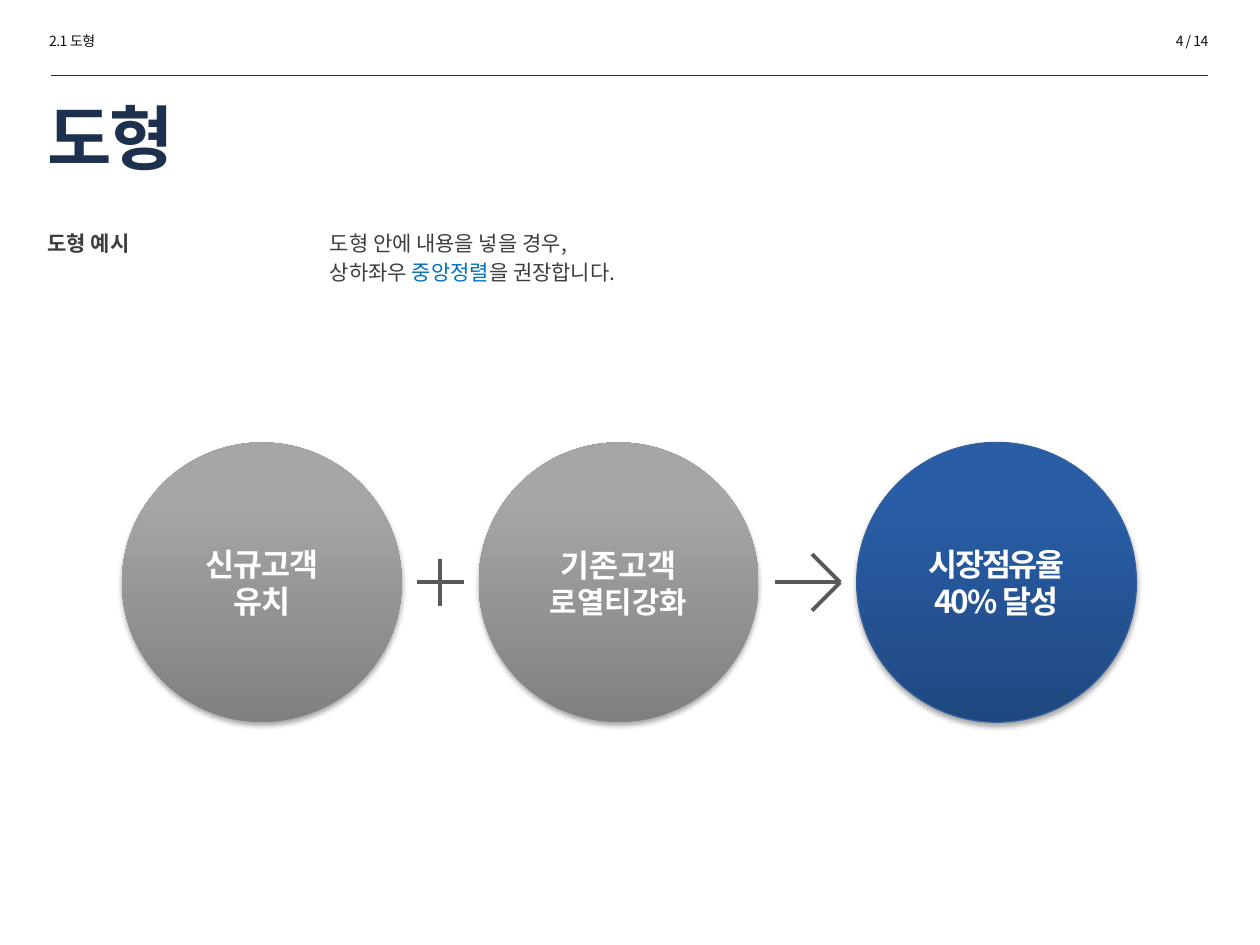
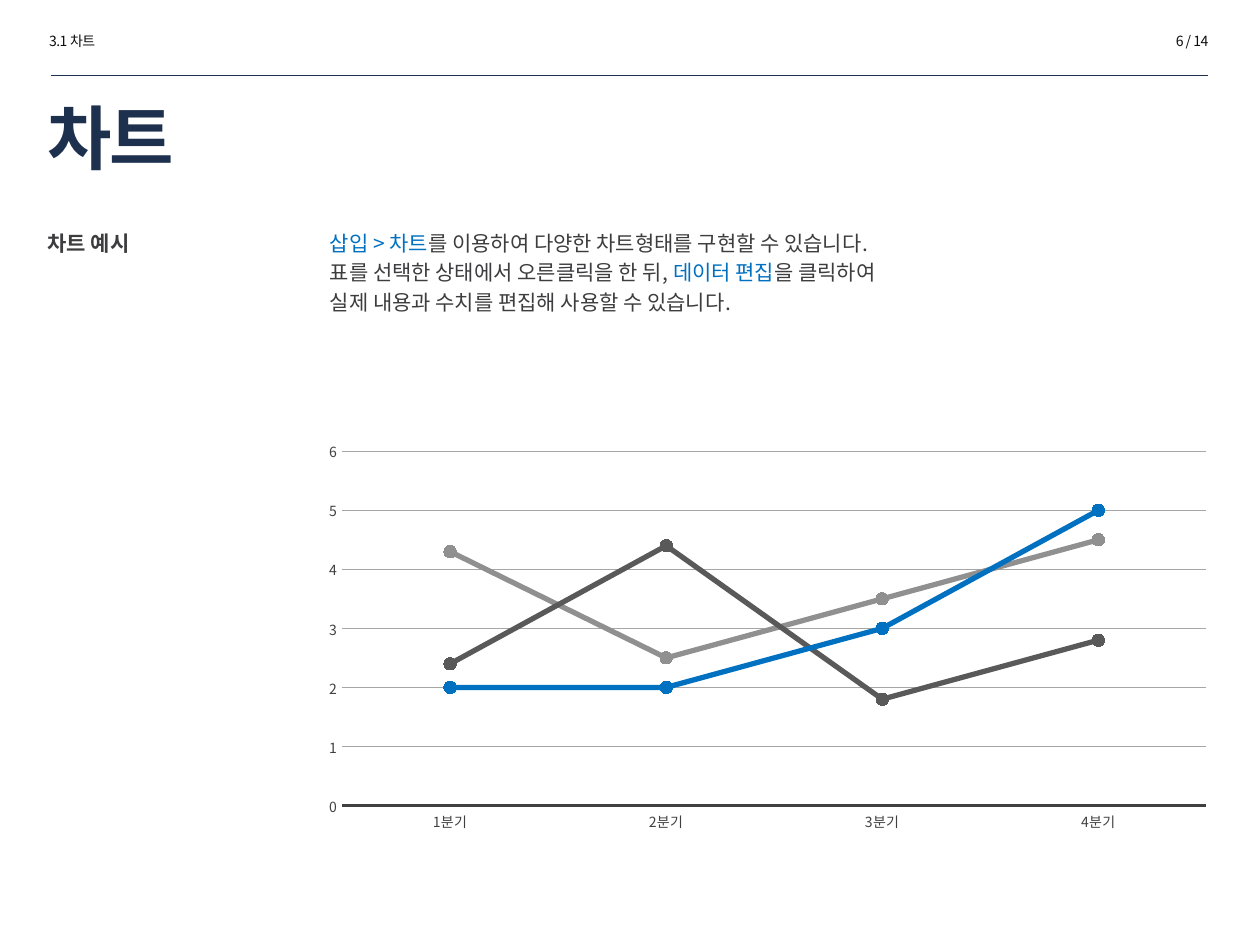
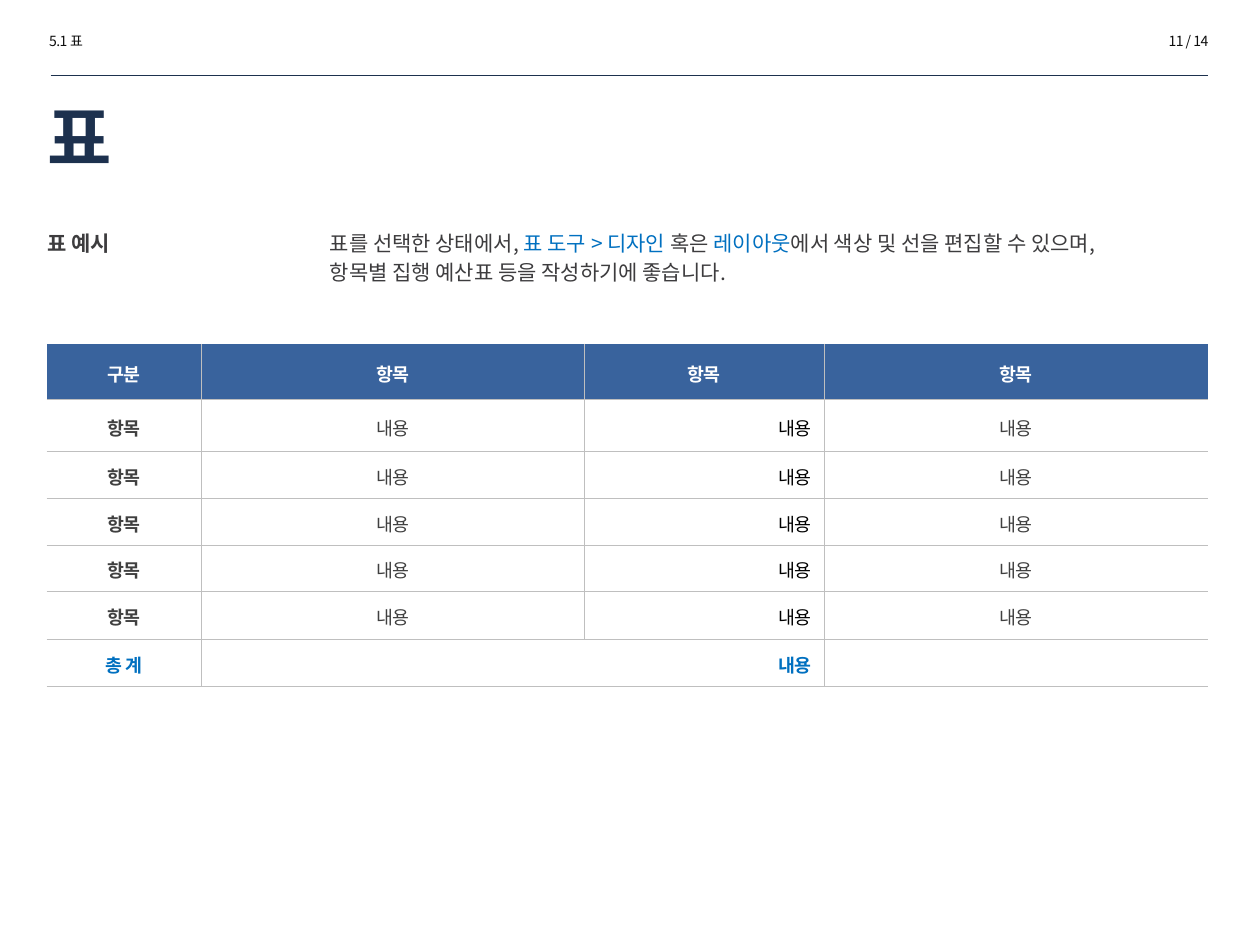
from dataclasses import dataclass
from itertools import accumulate

from lxml.etree import SubElement
from pptx import Presentation
from pptx.chart.data import CategoryChartData
from pptx.dml.color import RGBColor
from pptx.enum.chart import XL_CHART_TYPE as ChartType, XL_MARKER_STYLE as Marker, XL_TICK_MARK as Tick
from pptx.enum.shapes import MSO_CONNECTOR as Connector, MSO_SHAPE as Shape
from pptx.enum.text import MSO_ANCHOR as Anchor, PP_ALIGN as Align
from pptx.oxml import parse_xml
from pptx.oxml.ns import nsdecls, qn
from pptx.util import Cm, Pt


@dataclass(frozen=True)
class Theme:
    font: str = "Noto Sans CJK KR"
    navy: str = "1D314E"
    ink: str = "0D0D0D"
    body: str = "3D3C3E"
    accent: str = "0070C0"
    white: str = "FFFFFF"
    black: str = "000000"
    dark: str = "404040"
    symbol: str = "595959"
    series_grey: str = "909090"
    grid: str = "A6A6A6"
    border: str = "BFBFBF"
    table_head: str = "39639D"
    circle_edge: str = "35609C"
    grey_fade: tuple = ("808080", "A6A6A6")
    blue_fade: tuple = ("1F4880", "295EA7")
    title_size: float = 40
    circle_size: float = 18
    body_size: float = 12
    table_size: float = 10.5
    small_size: float = 8


THEME = Theme()

# Text between bars is shown in the accent colour.
SLIDES = [
    dict(section="2.1 도형", number="4 / 14", title="도형", label="도형 예시",
         body=["도형 안에 내용을 넣을 경우,", "상하좌우 |중앙정렬|을 권장합니다."]),
    dict(section="3.1 차트", number="6 / 14", title="차트", label="차트 예시",
         body=["|삽입 > 차트|를 이용하여 다양한 차트형태를 구현할 수 있습니다.",
               "표를 선택한 상태에서 오른클릭을 한 뒤, |데이터 편집|을 클릭하여",
               "실제 내용과 수치를 편집해 사용할 수 있습니다."]),
    dict(section="5.1 표", number="11 / 14", title="표", label="표 예시",
         body=["표를 선택한 상태에서, |표 도구 > 디자인 |혹은 |레이아웃|에서 색상 및 선을 편집할 수 있으며,",
               "항목별 집행 예산표 등을 작성하기에 좋습니다."]),
]

# Lines with their sizes, letter spacing, fade, gap to the next circle
CIRCLES = [
    ([("신규고객", 18), ("유치", 18)], -0.5, THEME.grey_fade, 1.55),
    ([("기존고객", 18), ("로열티강화", 17)], 0, THEME.grey_fade, 1.98),
    ([("시장점유율", 18), ("40% 달성", 18)], -1.2, THEME.blue_fade, 0),
]

QUARTERS = ["1분기", "2분기", "3분기", "4분기"]
SERIES = [
    ("내용", (4.3, 2.5, 3.5, 4.5), THEME.series_grey),
    ("내용2", (2.4, 4.4, 1.8, 2.8), THEME.symbol),
    ("내용3", (2, 2, 3, 5), THEME.accent),
]

TABLE = [
    ["구분", "항목", "항목", "항목"],
    *[["항목", "내용", "내용", "내용"]] * 5,
    ["총 계", "내용", "", ""],
]
COLUMN_WIDTHS = [3.12, 7.72, 4.83, 7.75]
ROW_HEIGHTS = [1.13, 1.05, 0.94, 0.94, 0.94, 0.96, 0.95]

LEFT, BODY_LEFT, BODY_TOP = 0.71, 6.4, 4.52
RULE_LEFT, RULE_RIGHT, RULE_Y = 1.02, 24.36, 1.52


def rgb(value):
    return RGBColor.from_string(value)


def set_asian_font(properties):
    SubElement(properties, qn("a:ea"), typeface=THEME.font)


def style(para, size, color, bold=False, spacing=0, align=Align.LEFT):
    font = para.font
    font.name, font.size, font.bold = THEME.font, Pt(size), bold
    font.color.rgb = rgb(color)
    para.alignment = align
    properties = para._p.pPr.find(qn("a:defRPr"))
    set_asian_font(properties)
    if spacing:
        properties.set("spc", str(round(spacing * 100)))


def add_text(page, place, lines, size, color, anchor=Anchor.TOP, before=0, **look):
    box = page.shapes.add_textbox(*map(Cm, place))
    frame = box.text_frame
    frame.word_wrap = True
    frame.vertical_anchor = anchor
    for index, line in enumerate(lines):
        para = frame.paragraphs[0] if index == 0 else frame.add_paragraph()
        style(para, size, color, **look)
        para.space_before = Pt(before)
        for position, piece in enumerate(line.split("|")):
            if piece:
                span = para.add_run()
                span.text = piece
                if position % 2:
                    span.font.color.rgb = rgb(THEME.accent)


def add_line(shapes, start, end, color, width):
    line = shapes.add_connector(Connector.STRAIGHT, *map(Cm, (*start, *end)))
    line.line.color.rgb = rgb(color)
    line.line.width = Pt(width)
    SubElement(line._element.spPr, qn("a:effectLst"))


def add_page(deck, content):
    """Add a slide with the header, rule, title, label and body text all slides share."""
    page = deck.slides.add_slide(deck.slide_layouts[6])
    small = dict(size=THEME.small_size, color=THEME.ink, spacing=-0.3)
    text = dict(size=THEME.body_size, color=THEME.body, before=THEME.body_size * 0.2)
    add_text(page, (0.74, 0.53, 4.39, 0.61), [content["section"]], **small)
    add_text(page, (20.22, 0.53, 4.39, 0.61), [content["number"]], align=Align.RIGHT, **small)
    add_line(page.shapes, (RULE_LEFT, RULE_Y), (RULE_RIGHT, RULE_Y), THEME.navy, 0.25)
    add_text(page, (LEFT, 1.94, 23.57, 1.63), [content["title"]], THEME.title_size, THEME.navy,
             anchor=Anchor.MIDDLE, bold=True, spacing=-1.5)
    add_text(page, (LEFT, BODY_TOP, 5.23, 2.2), [content["label"]], bold=True, **text)
    add_text(page, (BODY_LEFT, BODY_TOP, 18.57, 2.2), content["body"], **text)
    return page


def add_circle(page, left, top, size, lines, spacing, fade):
    circle = page.shapes.add_shape(Shape.OVAL, *map(Cm, (left, top, size, size)))
    circle.fill.gradient()
    circle.fill.gradient_angle = 90
    for stop, color, position in zip(circle.fill.gradient_stops, fade, (0, 0.8)):
        stop.color.rgb = rgb(color)
        stop.position = position
    if fade == THEME.blue_fade:
        circle.line.color.rgb = rgb(THEME.circle_edge)
        circle.line.width = Pt(0.75)
    else:
        circle.line.fill.background()
    circle.shadow.inherit = False
    effects = circle._element.spPr.find(qn("a:effectLst"))
    shadow = SubElement(effects, qn("a:outerShdw"), blurRad=str(Pt(3.1)), dist=str(Pt(1.8)),
                        dir="5400000", rotWithShape="0")
    color = SubElement(shadow, qn("a:srgbClr"), val=THEME.black)
    SubElement(color, qn("a:alpha"), val="35000")

    frame = circle.text_frame
    frame.vertical_anchor = Anchor.MIDDLE
    for index, (line, points) in enumerate(lines):
        para = frame.paragraphs[0] if index == 0 else frame.add_paragraph()
        para.text = line
        style(para, points, THEME.white, bold=True, spacing=spacing, align=Align.CENTER)


def add_symbol(page, center, strokes):
    """Draw strokes, given as offsets from the center, as one group."""
    x, y = center
    group = page.shapes.add_group_shape()
    for x1, y1, x2, y2 in strokes:
        add_line(group.shapes, (x + x1, y + y1), (x + x2, y + y2), THEME.symbol, 2.25)


def fill_shapes_page(page):
    top, size = 8.92, 5.64
    plus = [(-0.47, 0, 0.47, 0), (0, -0.47, 0, 0.47)]
    arrow = [(-0.66, 0, 0.66, 0), (0.09, -0.57, 0.66, 0), (0.66, 0, 0.09, 0.57)]
    steps = [size + gap for *_, gap in CIRCLES]
    lefts = list(accumulate(steps[:-1], initial=2.46))
    for left, (lines, spacing, fade, _) in zip(lefts, CIRCLES):
        add_circle(page, left, top, size, lines, spacing, fade)
    for left, following, strokes in zip(lefts, lefts[1:], (plus, arrow)):
        add_symbol(page, ((left + size + following) / 2, top + size / 2), strokes)


def set_plot_area(chart, x, y, width, height):
    """Fix the inner plot area, in fractions of the chart."""
    area = chart._chartSpace.find(f".//{qn('c:plotArea')}")
    for layout in area.findall(qn("c:layout")):
        area.remove(layout)
    values = "".join(f'<c:{tag} val="{value}"/>' for tag, value in
                     (("x", x), ("y", y), ("w", width), ("h", height)))
    area.insert(0, parse_xml(
        f'<c:layout {nsdecls("c")}><c:manualLayout><c:layoutTarget val="inner"/>'
        f'<c:xMode val="edge"/><c:yMode val="edge"/>{values}</c:manualLayout></c:layout>'))


def fill_chart_page(page):
    data = CategoryChartData()
    data.categories = QUARTERS
    for name, values, _ in SERIES:
        data.add_series(name, values)
    place = map(Cm, (6.27, 7.37, 18.42, 9.6))
    chart = page.shapes.add_chart(ChartType.LINE_MARKERS, *place, data).chart
    chart.has_legend = chart.has_title = False
    chart.font.name, chart.font.size = THEME.font, Pt(THEME.small_size)
    chart.font.color.rgb = rgb(THEME.dark)
    set_asian_font(chart._chartSpace.find(f"{qn('c:txPr')}//{qn('a:defRPr')}"))
    set_plot_area(chart, 0.034, 0.18, 0.946, 0.744)

    quarters, amounts = chart.category_axis, chart.value_axis
    quarters.major_tick_mark = Tick.NONE
    quarters.format.line.color.rgb = rgb(THEME.dark)
    quarters.format.line.width = Pt(1.25)
    amounts.minimum_scale, amounts.maximum_scale, amounts.major_unit = 0, 6, 1
    amounts.major_tick_mark = Tick.INSIDE
    amounts.format.line.fill.background()
    grid = amounts.major_gridlines.format.line
    grid.color.rgb, grid.width = rgb(THEME.grid), Pt(0.75)

    chart.plots[0].vary_by_categories = False
    for series, (_, _, color) in zip(chart.plots[0].series, SERIES):
        series.smooth = False
        series.format.line.color.rgb = rgb(color)
        series.format.line.width = Pt(3)
        marker = series.marker
        marker.style, marker.size = Marker.CIRCLE, 7
        marker.format.fill.solid()
        marker.format.fill.fore_color.rgb = rgb(color)
        marker.format.line.color.rgb = rgb(color)


def set_borders(cell, visible):
    """Draw the named sides (L, R, T, B) of a cell and hide the others."""
    properties = cell._tc.get_or_add_tcPr()
    for index, side in enumerate("LRTB"):
        line = parse_xml(f'<a:ln{side} {nsdecls("a")} w="{Pt(0.5)}"/>')
        if side in visible:
            fill = SubElement(line, qn("a:solidFill"))
            SubElement(fill, qn("a:srgbClr"), val=THEME.border)
        else:
            SubElement(line, qn("a:noFill"))
        properties.insert(index, line)


def cell_look(row, column):
    """Return colour, boldness and alignment of a table cell."""
    total = row == len(TABLE) - 1
    if row == 0:
        return THEME.white, True, Align.CENTER
    if total:
        return THEME.accent, True, Align.RIGHT if column else Align.CENTER
    if column == 2:
        return THEME.black, False, Align.RIGHT
    return THEME.dark, column == 0, Align.CENTER


def fill_table_page(page):
    last_row, last_column = len(TABLE) - 1, len(COLUMN_WIDTHS) - 1
    place = map(Cm, (0.94, 6.93, sum(COLUMN_WIDTHS), sum(ROW_HEIGHTS)))
    table = page.shapes.add_table(len(TABLE), len(COLUMN_WIDTHS), *place).table
    table.first_row = table.horz_banding = False
    for column, width in zip(table.columns, COLUMN_WIDTHS):
        column.width = Cm(width)
    for row, height in zip(table.rows, ROW_HEIGHTS):
        row.height = Cm(height)
    for row, texts in enumerate(TABLE):
        for column, text in enumerate(texts):
            cell = table.cell(row, column)
            cell.vertical_anchor = Anchor.MIDDLE
            if row == 0:
                cell.fill.solid()
                cell.fill.fore_color.rgb = rgb(THEME.table_head)
            else:
                cell.fill.background()
            set_borders(cell, "B" + "T" * (row > 0) + "L" * (column > 0) + "R" * (column < last_column))
            para = cell.text_frame.paragraphs[0]
            color, bold, align = cell_look(row, column)
            if text:
                para.text = text
            else:
                SubElement(para._p, qn("a:endParaRPr"), sz=str(round(THEME.table_size * 100)))
            style(para, THEME.table_size, color, bold=bold, spacing=-0.3, align=align)
            para.line_spacing = 1.1
    table.cell(last_row, 1).merge(table.cell(last_row, 2))


def main():
    deck = Presentation()
    deck.slide_width, deck.slide_height = Cm(25.4), Cm(19.05)
    for content, fill_page in zip(SLIDES, (fill_shapes_page, fill_chart_page, fill_table_page)):
        fill_page(add_page(deck, content))
    deck.save("out.pptx")


if __name__ == "__main__":
    main()
